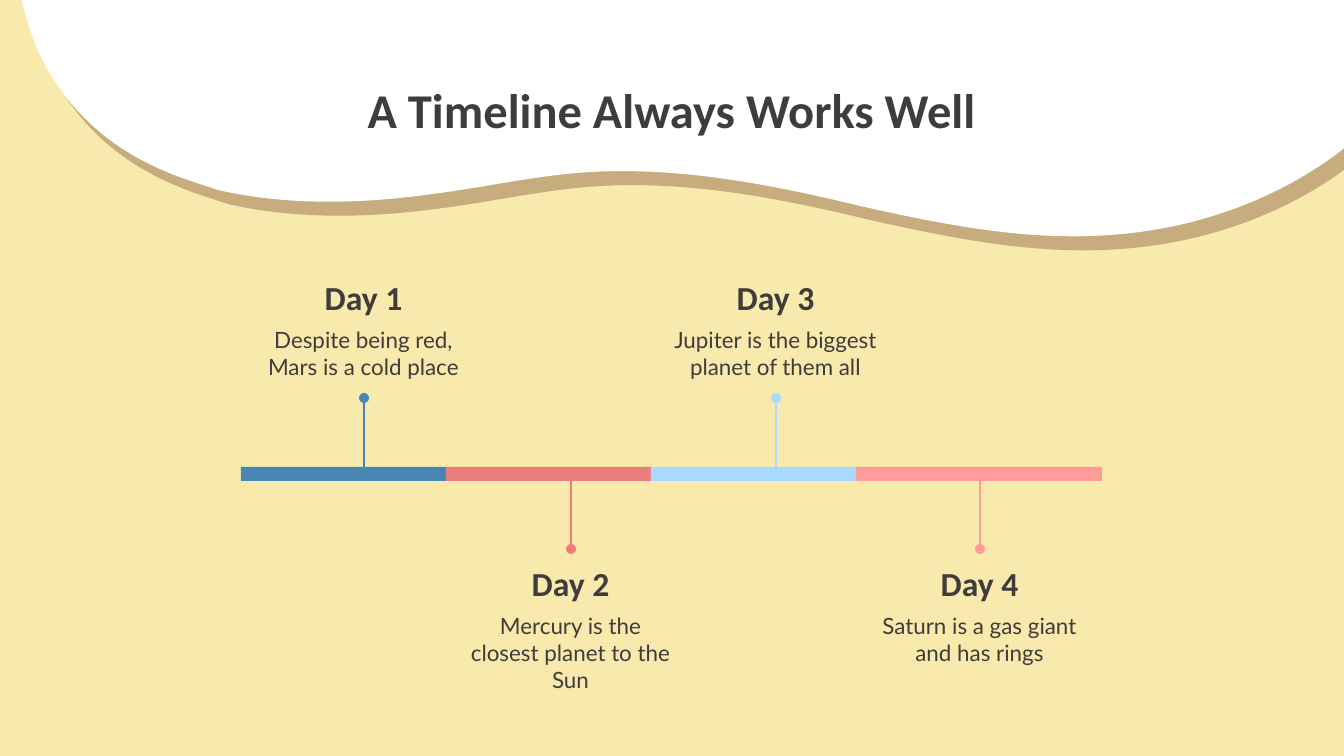
from lxml import etree
from pptx import Presentation
from pptx.dml.color import RGBColor
from pptx.enum.shapes import MSO_CONNECTOR, MSO_SHAPE
from pptx.enum.text import MSO_ANCHOR, MSO_AUTO_SIZE, PP_ALIGN
from pptx.oxml.ns import qn
from pptx.util import Pt

STRAIGHT = MSO_CONNECTOR.STRAIGHT
RECT, OVAL = MSO_SHAPE.RECTANGLE, MSO_SHAPE.OVAL
TOP, BOTTOM = MSO_ANCHOR.TOP, MSO_ANCHOR.BOTTOM
NO_AUTOFIT = MSO_AUTO_SIZE.NONE
CENTER = PP_ALIGN.CENTER

THEME = {
    "background": RGBColor.from_string("F8E9AC"),
    "wave_shadow": RGBColor.from_string("C7AC7D"),
    "wave": RGBColor.from_string("FFFFFF"),
    "text": RGBColor.from_string("3F3C3B"),
    "days": [RGBColor.from_string(c) for c in ("4785B3", "EB7E7C", "A8DAFF", "FF9B99")],
    "title_size": 26,
    "heading_size": 18,
    "body_size": 12,
    "heading_font": "Calibri",
    "body_font": "Lato",
}
EMU_PER_PX = 914400 / 134.4


def px(*lengths):
    return [round(n * EMU_PER_PX) for n in lengths]


def write(tf, text, size, font, bold=False, spacing=1.0, anchor=TOP):
    tf.word_wrap = True
    tf.auto_size = NO_AUTOFIT
    tf.vertical_anchor = anchor
    tf.margin_left = tf.margin_right = tf.margin_top = tf.margin_bottom = Pt(7.2)
    p = tf.paragraphs[0]
    p.alignment = CENTER
    p.line_spacing = spacing
    r = p.add_run()
    r.text = text
    r.font.size = Pt(size)
    r.font.name = font
    r.font.bold = bold
    r.font.color.rgb = THEME["text"]


prs = Presentation()
prs.slide_width, prs.slide_height = px(1344, 756)
slide = prs.slides.add_slide(prs.slide_layouts[5])
shapes = slide.shapes
slide.background.fill.solid()
slide.background.fill.fore_color.rgb = THEME["background"]

WAVE = [
    (16, -58),
    (16, 36), (60, 128), (167, 172),
    (183, 179), (200, 184), (218, 190),
    (288, 206), (362, 204), (433, 194),
    (487, 187), (538, 175), (591, 172),
    (683, 167), (773, 185), (860, 206),
    (972, 231), (1077, 251), (1192, 222),
    (1372, 175), (1470, 38), (1470, -98),
    (1470, -149), (1456, -202), (1426, -247),
    (1313, -422), (996, -449), (758, -444),
    (552, -438), (271, -419), (128, -300),
    (58, -242), (16, -148), (16, -58),
]
for name, dx, dy in (("wave_shadow", 10, 14), ("wave", 0, 0)):
    points = [px(x + dx, y + dy) for x, y in WAVE]
    builder = shapes.build_freeform(*points[0])
    builder.add_line_segments(points[1:], close=True)
    sp = builder.convert_to_shape()
    segments = list(sp._element.iter(qn("a:lnTo")))
    for i in range(0, len(segments), 3):
        curve = etree.Element(qn("a:cubicBezTo"))
        segments[i].addprevious(curve)
        for segment in segments[i:i + 3]:
            curve.append(segment[0])
            segment.getparent().remove(segment)
    sp.shadow.inherit = False
    sp.fill.solid()
    sp.fill.fore_color.rgb = THEME[name]
    sp.line.fill.background()

title = shapes.title
shapes._spTree.append(title._element)
title.left, title.top, title.width, title.height = px(76, 83, 1192, 69)
write(title.text_frame, "A Timeline Always Works Well", THEME["title_size"],
      THEME["heading_font"], bold=True, anchor=BOTTOM)

DAYS = [
    (364, "Despite being red, Mars is a cold place"),
    (571, "Mercury is the closest planet to the Sun"),
    (776, "Jupiter is the biggest planet of them all"),
    (980, "Saturn is a gas giant and has rings"),
]
BAR_LEFT, BAR_TOP, BAR_HEIGHT, BAR_STEP = 241, 467, 14, 205
LAST_BAR_WIDTH = 246
DOT = 10
TEXT_WIDTH = 235

for i, ((x, description), color) in enumerate(zip(DAYS, THEME["days"])):
    above = i % 2 == 0
    dot_y = 398 if above else 549
    bar_edge = BAR_TOP + BAR_HEIGHT if above else BAR_TOP
    bar_width = LAST_BAR_WIDTH if i == len(DAYS) - 1 else BAR_STEP

    for kind, box in (
        (RECT, (BAR_LEFT + i * BAR_STEP, BAR_TOP, bar_width, BAR_HEIGHT)),
        (OVAL, (x - DOT // 2, dot_y - DOT // 2, DOT, DOT)),
    ):
        sp = shapes.add_shape(kind, *px(*box))
        sp.shadow.inherit = False
        sp.fill.solid()
        sp.fill.fore_color.rgb = color
        sp.line.fill.background()

    stem = shapes.add_connector(STRAIGHT, *px(x, dot_y, x, bar_edge))
    stem.line.color.rgb = color
    stem.line.width = Pt(0.75)
    etree.SubElement(stem._element.spPr, qn("a:effectLst"))

for i, (x, description) in enumerate(DAYS):
    left = x - TEXT_WIDTH // 2 - 1
    top = 271 if i % 2 == 0 else 557
    heading = shapes.add_textbox(*px(left, top, TEXT_WIDTH, 54))
    write(heading.text_frame, f"Day {i + 1}", THEME["heading_size"],
          THEME["heading_font"], bold=True, spacing=0.8)
    body = shapes.add_textbox(*px(left, top + 42, TEXT_WIDTH, 81))
    write(body.text_frame, description, THEME["body_size"], THEME["body_font"])

prs.save("out.pptx")
